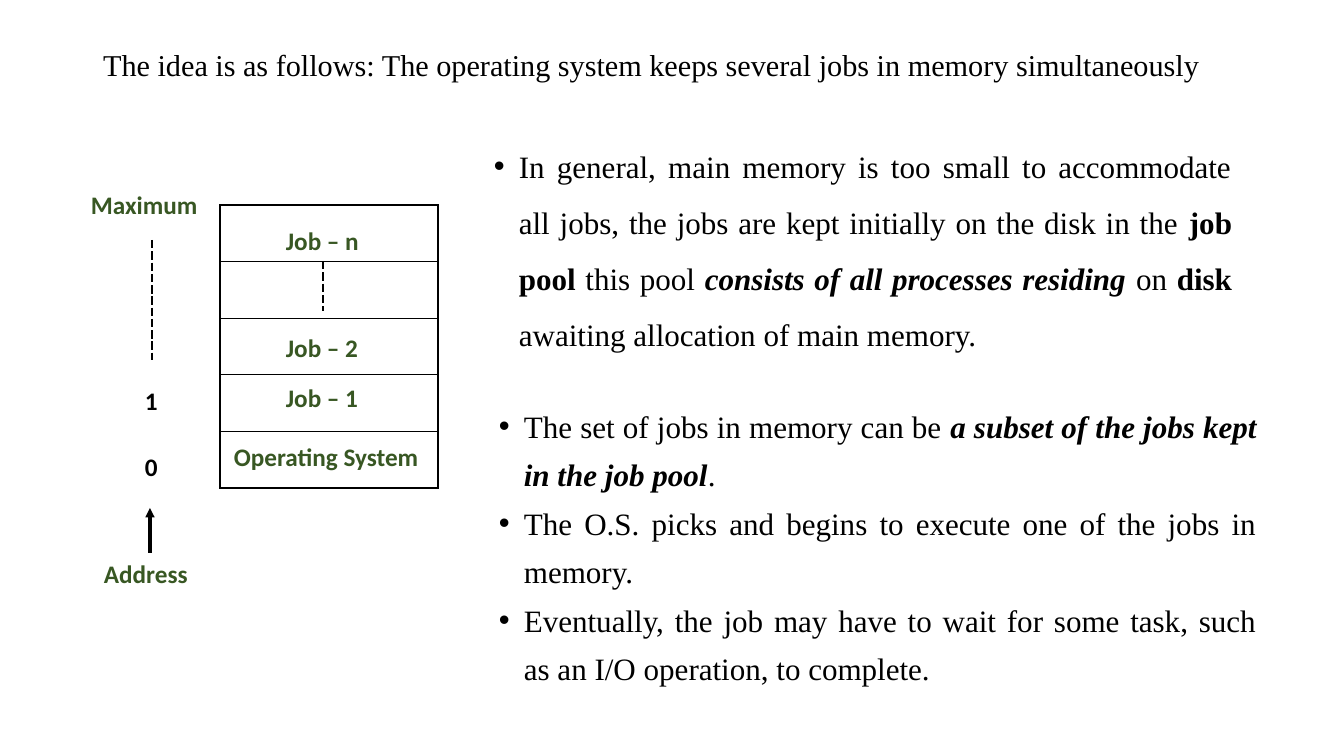
from lxml import etree
from pptx import Presentation
from pptx import util as u
from pptx.dml.color import RGBColor
from pptx.enum import dml, shapes, text
from pptx.oxml import ns

BLACK = RGBColor(0x00, 0x00, 0x00)
GREEN = RGBColor(0x38, 0x57, 0x23)
SERIF, SANS = "Times New Roman", "Calibri"
BODY_SIZE = 22.2
MARGIN = 25


def px(length):
    """Turn pixels into EMU."""
    return u.Emu(round(length * 914400 / 100.8))


def place(shape, box):
    """Move and size a shape to a pixel box."""
    shape.left, shape.top, shape.width, shape.height = map(px, box)


def add_span(para, words, *, size, font, color=BLACK, bold=False, italic=False):
    """Append one formatted run to a paragraph."""
    span = para.add_run()
    span.text = words
    span.font.size, span.font.name = u.Pt(size), font
    span.font.bold, span.font.italic = bold, italic
    span.font.color.rgb = color


def add_text_box(page, box):
    """Add an empty wrapping text box and return its frame."""
    frame = page.shapes.add_textbox(*map(px, box)).text_frame
    frame.word_wrap = True
    return frame


def add_label(page, words, left, top, width, color=GREEN):
    """Add a bold one-line diagram label."""
    frame = add_text_box(page, (left, top, width, 40))
    add_span(frame.paragraphs[0], words, size=18, font=SANS, color=color, bold=True)


def add_line(page, start, end, *, width=2, dashed=False, arrow=False):
    """Draw a black line, dashed or ending in an arrowhead on request."""
    line = page.shapes.add_connector(
        shapes.MSO_CONNECTOR.STRAIGHT, *map(px, start + end))
    line.line.color.rgb = BLACK
    line.line.width = u.Pt(width)
    if dashed:
        line.line.dash_style = dml.MSO_LINE.SQUARE_DOT
    properties = line._element.spPr
    if arrow:
        outline = properties.find(ns.qn("a:ln"))
        etree.SubElement(outline, ns.qn("a:tailEnd"), type="triangle")
    etree.SubElement(properties, ns.qn("a:effectLst"))


def outline_cell(cell):
    """Give a cell no fill and thin black borders."""
    cell.fill.background()
    properties = cell._tc.get_or_add_tcPr()
    for position, side in enumerate(("lnL", "lnR", "lnT", "lnB")):
        border = etree.Element(ns.qn(f"a:{side}"), w=str(u.Pt(1)))
        fill = etree.SubElement(border, ns.qn("a:solidFill"))
        etree.SubElement(fill, ns.qn("a:srgbClr"), val=str(BLACK))
        properties.insert(position, border)


def add_title(page, box):
    """Fill and place the title placeholder."""
    title = page.shapes.title
    place(title, box)
    frame = title.text_frame
    frame.vertical_anchor = text.MSO_ANCHOR.MIDDLE
    para = frame.paragraphs[0]
    para.alignment = text.PP_ALIGN.LEFT
    para.line_spacing = 0.9
    add_span(para, "The idea is as follows: The operating system keeps several "
             "jobs in memory simultaneously", size=21.6, font=SERIF)


def add_memory_stack(page, box):
    """Draw the memory cells with their job labels."""
    left, top, width, height = box
    table = page.shapes.add_table(5, 1, *map(px, box)).table
    table.first_row = table.horz_banding = False
    for row in table.rows:
        row.height = px(height / 5)
        outline_cell(row.cells[0])
    for words, offset in (("Job – n", 15), ("Job – 2", 122), ("Job – 1", 172)):
        add_label(page, words, left + 56, top + offset, 105)
    add_label(page, "Operating System", left + 4, top + 231, 209)
    middle = left + 103
    add_line(page, (middle, top + 56), (middle, top + 106), dashed=True)


def add_address_scale(page, box):
    """Draw the address column from maximum down to zero."""
    left, top, width, height = box
    add_label(page, "Maximum", left, top, width)
    for words, offset in (("1", 196), ("0", 262)):
        add_label(page, words, left + 54, top + offset, 43, BLACK)
    add_label(page, "Address", left + 13, top + height - 40, 109)
    add_line(page, (left + 71, top + 56), (left + 71, top + 176), dashed=True)
    add_line(page, (left + 69, top + 369), (left + 69, top + 324),
             width=2.25, arrow=True)


def add_bullets(page, box, items, spacing):
    """Write justified bullets whose spans are (words, format) pairs."""
    frame = add_text_box(page, box)
    for index, spans in enumerate(items):
        para = frame.add_paragraph() if index else frame.paragraphs[0]
        para.alignment = text.PP_ALIGN.JUSTIFY
        para.line_spacing = spacing
        properties = para._p.get_or_add_pPr()
        properties.set("marL", str(px(MARGIN)))
        properties.set("indent", str(-px(MARGIN)))
        etree.SubElement(properties, ns.qn("a:buFont"), typeface="Arial")
        etree.SubElement(properties, ns.qn("a:buChar"), char="•")
        for words, style in spans:
            add_span(para, words, size=BODY_SIZE, font=SERIF, **style)


PLAIN, BOLD, STRONG = {}, {"bold": True}, {"bold": True, "italic": True}
JOB_POOL = [[
    ("In general, main memory is too small to accommodate all jobs, the jobs "
     "are kept initially on the disk in the ", PLAIN),
    ("job pool", BOLD), (" this pool ", PLAIN),
    ("consists of all processes residing ", STRONG), ("on ", PLAIN),
    ("disk", BOLD), (" awaiting allocation of main memory.", PLAIN)]]
EXECUTION = [
    [("The set of jobs in memory can be ", PLAIN),
     ("a subset of the jobs kept in the job pool", STRONG), (".", PLAIN)],
    [("The O.S. picks and begins to execute one of the jobs in memory.", PLAIN)],
    [("Eventually, the job may have to wait for some task, such as an I/O "
      "operation, to complete.", PLAIN)]]

deck = Presentation()
deck.slide_width, deck.slide_height = px(1344), px(756)
page = deck.slides.add_slide(deck.slide_layouts[5])
add_title(page, (93, 26, 1159, 81))
add_memory_stack(page, (220, 205, 218, 283))
add_address_scale(page, (81, 184, 135, 409))
add_bullets(page, (484, 124, 758, 242), JOB_POOL, 1.5)
add_bullets(page, (489, 391, 778, 314), EXECUTION, 1.3)
deck.save("out.pptx")
